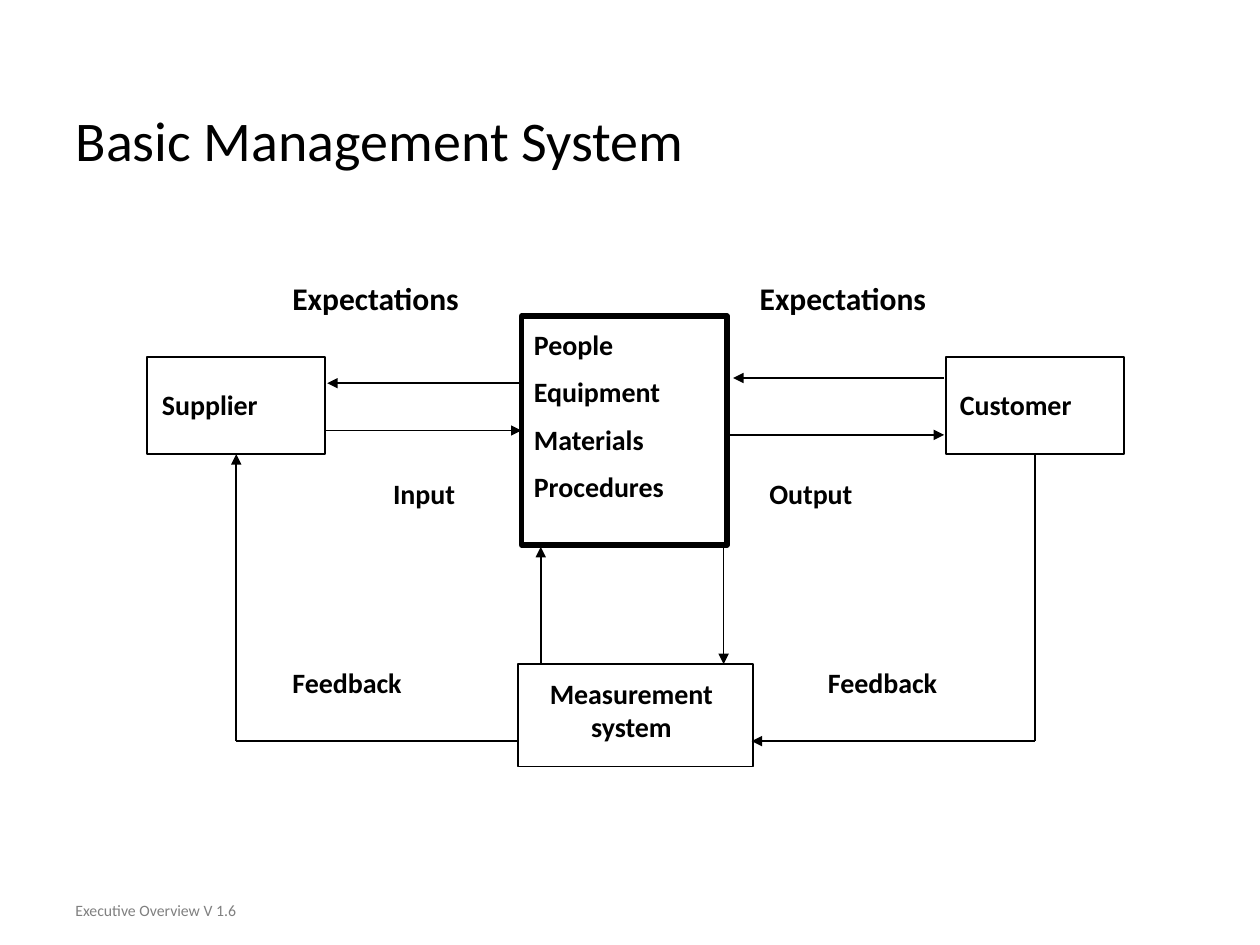
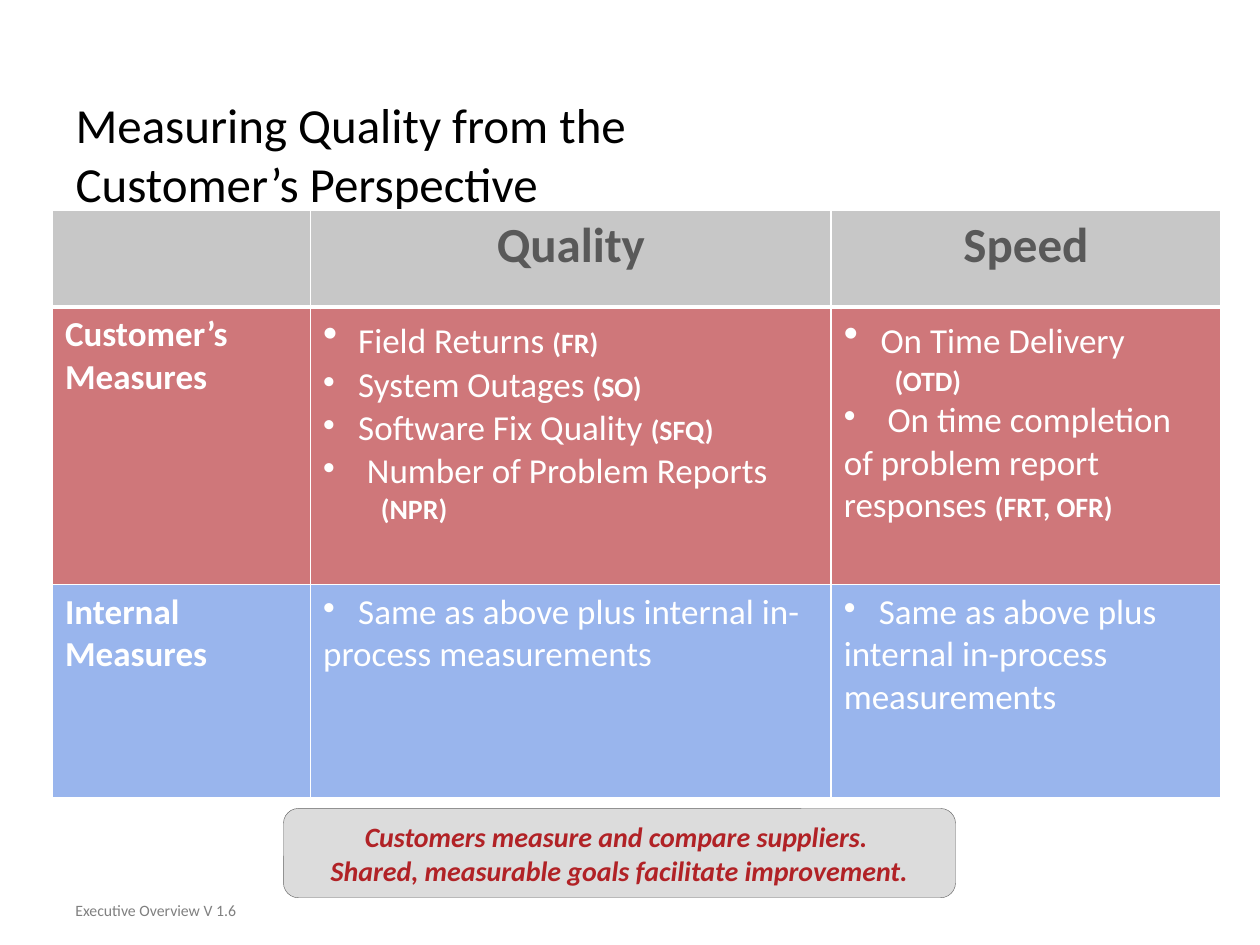
from dataclasses import dataclass

from lxml.etree import SubElement
from pptx import Presentation
from pptx.dml.color import RGBColor
from pptx.enum.shapes import MSO_CONNECTOR, MSO_SHAPE
from pptx.enum.text import MSO_ANCHOR, PP_ALIGN
from pptx.oxml.ns import qn
from pptx.util import Pt


@dataclass(frozen=True)
class Theme:
    font: str = "Calibri"
    ink: str = "000000"
    paper: str = "FFFFFF"
    footer_ink: str = "808080"
    header_ink: str = "595959"
    header_fill: str = "C7C7C7"
    red: str = "B12226"
    blue: str = "0048D2"
    callout_fill: str = "DCDCDC"
    callout_line: str = "646464"
    title: int = 32
    long_title: int = 28
    header: int = 28
    lead: int = 24
    body: int = 20
    flow: int = 18
    label: int = 16
    footer: int = 9


THEME = Theme()


def rgb(code):
    return RGBColor.from_string(code)


def child(parent, tag, **attributes):
    return SubElement(parent, qn(tag), attributes)


class Deck:
    def __init__(self, theme):
        self.theme = theme
        self.prs = Presentation()
        self.prs.slide_width, self.prs.slide_height = Pt(720), Pt(540)
        self.slide = None

    def new_slide(self, title_lines, top, size):
        self.slide = self.prs.slides.add_slide(self.prs.slide_layouts[5])
        title = self.slide.shapes.title
        title.left, title.top, title.width, title.height = Pt(36), Pt(top), Pt(624), Pt(78)
        self.set_frame(title.text_frame, (7.2, 0, 7.2, 0), MSO_ANCHOR.TOP)
        self.write_lines(title.text_frame.paragraphs[0], title_lines, size, bold=False)
        self.text("Executive Overview V 1.6", (36, 504, 150, 25), self.theme.footer,
                  self.theme.footer_ink, bold=False, anchor=MSO_ANCHOR.BOTTOM)

    def set_frame(self, frame, insets=(7.2, 3.6, 7.2, 3.6), anchor=MSO_ANCHOR.TOP):
        frame.word_wrap = True
        frame.vertical_anchor = anchor
        (frame.margin_left, frame.margin_top,
         frame.margin_right, frame.margin_bottom) = map(Pt, insets)

    def run(self, paragraph, text, size, color=None, bold=True, italic=False):
        run = paragraph.add_run()
        run.text = text
        font = run.font
        font.name, font.size, font.bold, font.italic = self.theme.font, Pt(size), bold, italic
        font.color.rgb = rgb(color or self.theme.ink)

    def write_lines(self, paragraph, lines, size, color=None, bold=True, italic=False,
                    align=PP_ALIGN.LEFT):
        """Write lines into one paragraph, separated by line breaks."""
        paragraph.alignment = align
        for index, line in enumerate(lines):
            if index:
                paragraph.add_line_break()
            self.run(paragraph, line, size, color, bold, italic)

    def text(self, words, box, size, color=None, bold=True, anchor=MSO_ANCHOR.TOP):
        frame = self.slide.shapes.add_textbox(*map(Pt, box)).text_frame
        self.set_frame(frame, anchor=anchor)
        self.run(frame.paragraphs[0], words, size, color, bold)

    def panel(self, preset, box, fill, line, weight):
        panel = self.slide.shapes.add_shape(preset, *map(Pt, box))
        panel.shadow.inherit = False
        panel.fill.solid()
        panel.fill.fore_color.rgb = rgb(fill)
        panel.line.color.rgb = rgb(line)
        panel.line.width = Pt(weight)
        return panel

    def node(self, items, box, insets, weight=1, anchor=MSO_ANCHOR.MIDDLE,
             align=PP_ALIGN.LEFT):
        node = self.panel(MSO_SHAPE.RECTANGLE, box, self.theme.paper, self.theme.ink, weight)
        frame = node.text_frame
        self.set_frame(frame, insets, anchor)
        for index, item in enumerate(items):
            paragraph = frame.add_paragraph() if index else frame.paragraphs[0]
            if index:
                paragraph.space_before = Pt(8)
            self.write_lines(paragraph, [item], self.theme.label, align=align)
        return node

    def connector(self, start, end, arrow=True, begin=None, finish=None):
        """Draw a line; begin and finish are (node, side) pairs to join."""
        line = self.slide.shapes.add_connector(MSO_CONNECTOR.STRAIGHT, *map(Pt, start + end))
        if begin:
            line.begin_connect(*begin)
        if finish:
            line.end_connect(*finish)
        line.line.color.rgb = rgb(self.theme.ink)
        line.line.width = Pt(1)
        if arrow:
            child(line.line._get_or_add_ln(), "a:tailEnd", type="triangle")
        child(line._element.spPr, "a:effectLst")

    def callout(self, lines, box):
        theme = self.theme
        callout = self.panel(MSO_SHAPE.ROUNDED_RECTANGLE, box, theme.callout_fill,
                             theme.callout_line, 0.25)
        self.set_frame(callout.text_frame, anchor=MSO_ANCHOR.MIDDLE)
        self.write_lines(callout.text_frame.paragraphs[0], lines, theme.label, theme.red,
                         italic=True, align=PP_ALIGN.CENTER)

    def table(self, origin, widths, heights):
        table = self.slide.shapes.add_table(
            len(heights), len(widths), *map(Pt, origin + (sum(widths), sum(heights)))).table
        table.first_row = table.horz_banding = False
        for column, width in zip(table.columns, widths):
            column.width = Pt(width)
        for row, height in zip(table.rows, heights):
            row.height = Pt(height)
        return table

    def style_cell(self, cell, fill, opacity=100, top=1, bottom=1):
        properties = cell._tc.get_or_add_tcPr()
        for side, weight in (("L", 1), ("R", 1), ("T", top), ("B", bottom)):
            border = child(properties, f"a:ln{side}", w=str(Pt(weight)))
            child(child(border, "a:solidFill"), "a:srgbClr", val=self.theme.paper)
        cell.fill.solid()
        cell.fill.fore_color.rgb = rgb(fill)
        if opacity < 100:
            color = properties.find(qn("a:solidFill")).find(qn("a:srgbClr"))
            child(color, "a:alpha", val=str(opacity * 1000))

    def measure(self, paragraph, words, code="", gap=20, lead_size=None):
        """Bulleted measure whose wrapped lines return to the cell margin."""
        properties = paragraph._p.get_or_add_pPr()
        properties.set("marL", "0")
        properties.set("indent", "0")
        child(properties, "a:buChar", char="•")
        child(child(properties, "a:tabLst"), "a:tab", pos=str(Pt(gap)), algn="l")
        theme = self.theme
        self.run(paragraph, "\t", lead_size or theme.body, theme.paper, bold=False)
        self.run(paragraph, words, theme.body, theme.paper, bold=False)
        if code:
            self.run(paragraph, code, theme.label, theme.paper)

    def indented_code(self, paragraph, code, indent):
        paragraph._p.get_or_add_pPr().set("marL", str(Pt(indent)))
        self.run(paragraph, code, self.theme.label, self.theme.paper)


def management_system(deck):
    theme = deck.theme
    deck.new_slide(["Basic Management System"], 60, theme.title)

    supplier = deck.node(["Supplier"], (84, 204, 102, 55.5), (8.6, 3, 7.2, 4))
    measurement = (296, 379.5, 134.5, 58.5)
    deck.node(["Measurement system"], measurement, (7.2, 0, 12, 6), align=PP_ALIGN.CENTER)
    process = deck.node(["People", "Equipment", "Materials", "Procedures"],
                        (298, 180.5, 117.5, 131), (7.2, 6.5, 7.2, 3.6),
                        weight=3, anchor=MSO_ANCHOR.TOP)
    customer = deck.node(["Customer"], (540.5, 204, 102, 55.5), (8, 3, 7.2, 4))

    for words, left, top, size in (
            ("Expectations", 160, 156, theme.flow),
            ("Expectations", 427, 156, theme.flow),
            ("Input", 217.5, 268.5, theme.label),
            ("Output", 432.5, 268.5, theme.label),
            ("Feedback", 160, 376.5, theme.label),
            ("Feedback", 466, 376.5, theme.label)):
        deck.text(words, (left, top, 135, 27), size)

    deck.connector((298, 219), (187, 219))
    deck.connector((186, 246), (298, 246), finish=(process, 1))
    deck.connector((539.5, 216), (419, 216))
    deck.connector((417, 248.5), (539.5, 248.5))
    deck.connector((309, 379.5), (309, 312.5))
    deck.connector((413.5, 311.5), (413.5, 379.5))

    feedback_y = 423.5
    supplier_corner, customer_corner = (135, feedback_y), (591.5, feedback_y)
    deck.connector((measurement[0], feedback_y), supplier_corner, arrow=False)
    deck.connector(supplier_corner, (135, 259.5), finish=(supplier, 2))
    deck.connector((591.5, 259.5), customer_corner, arrow=False, begin=(customer, 2))
    deck.connector(customer_corner, (429.5, feedback_y))


def quality_measures(deck):
    theme = deck.theme
    deck.new_slide(["Measuring Quality from the ", "Customer’s Perspective"], 54,
                   theme.long_title)
    table = deck.table((30, 120), (147.5, 297.5, 222.5), (55.5, 158.5, 122))

    for column, heading in enumerate(("", "Quality", "Speed")):
        cell = table.cell(0, column)
        deck.style_cell(cell, theme.header_fill, bottom=3)
        if heading:
            deck.write_lines(cell.text_frame.paragraphs[0], [heading], theme.header,
                             theme.header_ink, align=PP_ALIGN.CENTER)

    for row, (heading, fill, opacity) in enumerate((
            ("Customer’s Measures", theme.red, 61),
            ("Internal Measures", theme.blue, 40)), start=1):
        for column in range(3):
            deck.style_cell(table.cell(row, column), fill, opacity, top=3 if row == 1 else 1)
        deck.run(table.cell(row, 0).text_frame.paragraphs[0], heading, theme.body, theme.paper)

    quality, speed = (table.cell(1, column).text_frame for column in (1, 2))
    deck.measure(quality.paragraphs[0], "Field Returns ", "(FR)", lead_size=theme.lead)
    deck.measure(quality.add_paragraph(), "System Outages ", "(SO)")
    deck.measure(quality.add_paragraph(), "Software Fix Quality ", "(SFQ)")
    deck.measure(quality.add_paragraph(), "Number of Problem Reports", gap=25)
    deck.indented_code(quality.add_paragraph(), "(NPR)", 33)

    deck.measure(speed.paragraphs[0], "On Time Delivery", gap=21, lead_size=theme.lead)
    deck.indented_code(speed.add_paragraph(), "(OTD)", 29)
    deck.measure(speed.add_paragraph(), "On time completion of problem report responses ",
                 "(FRT, OFR)", gap=25)

    for column in (1, 2):
        deck.measure(table.cell(2, column).text_frame.paragraphs[0],
                     "Same as above plus internal in-process measurements")

    deck.callout(["Customers measure and compare suppliers. ",
                  "Shared, measurable goals facilitate improvement."], (162, 462, 384, 51))


def main():
    deck = Deck(THEME)
    management_system(deck)
    quality_measures(deck)
    deck.prs.save("out.pptx")


if __name__ == "__main__":
    main()
